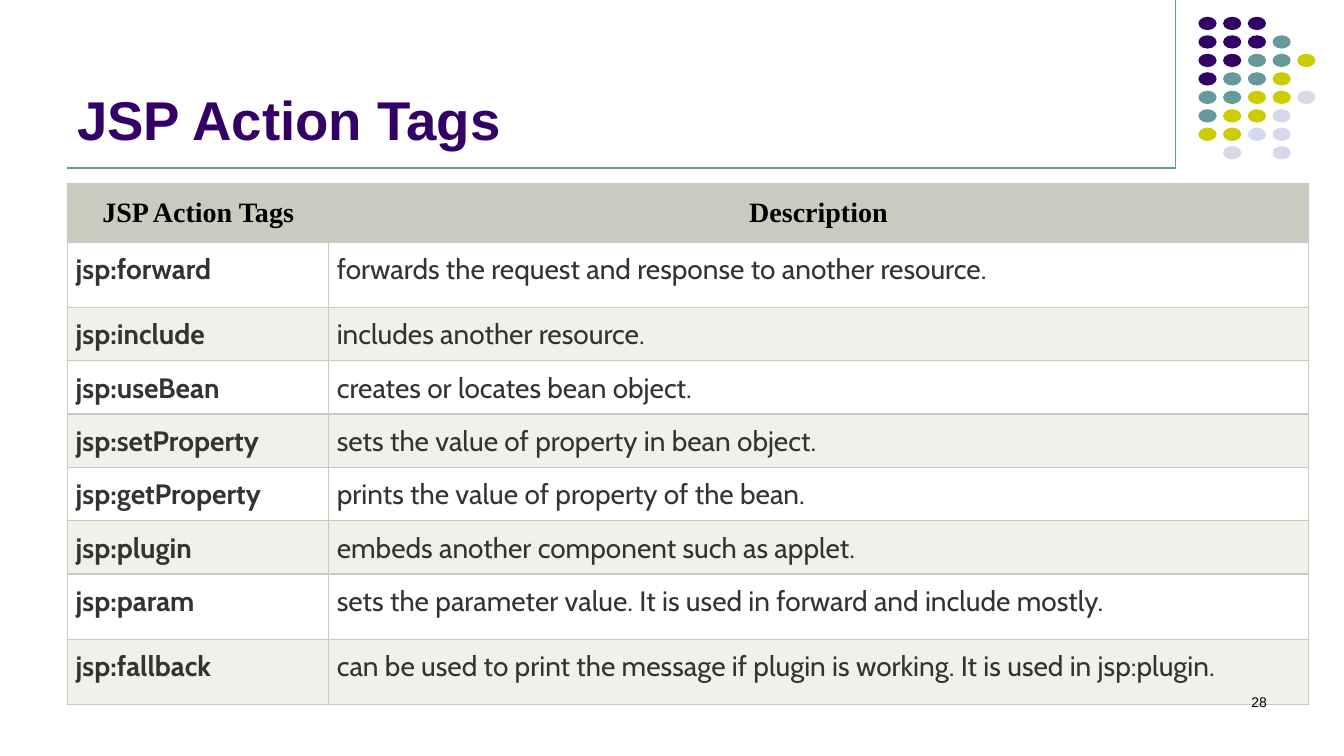
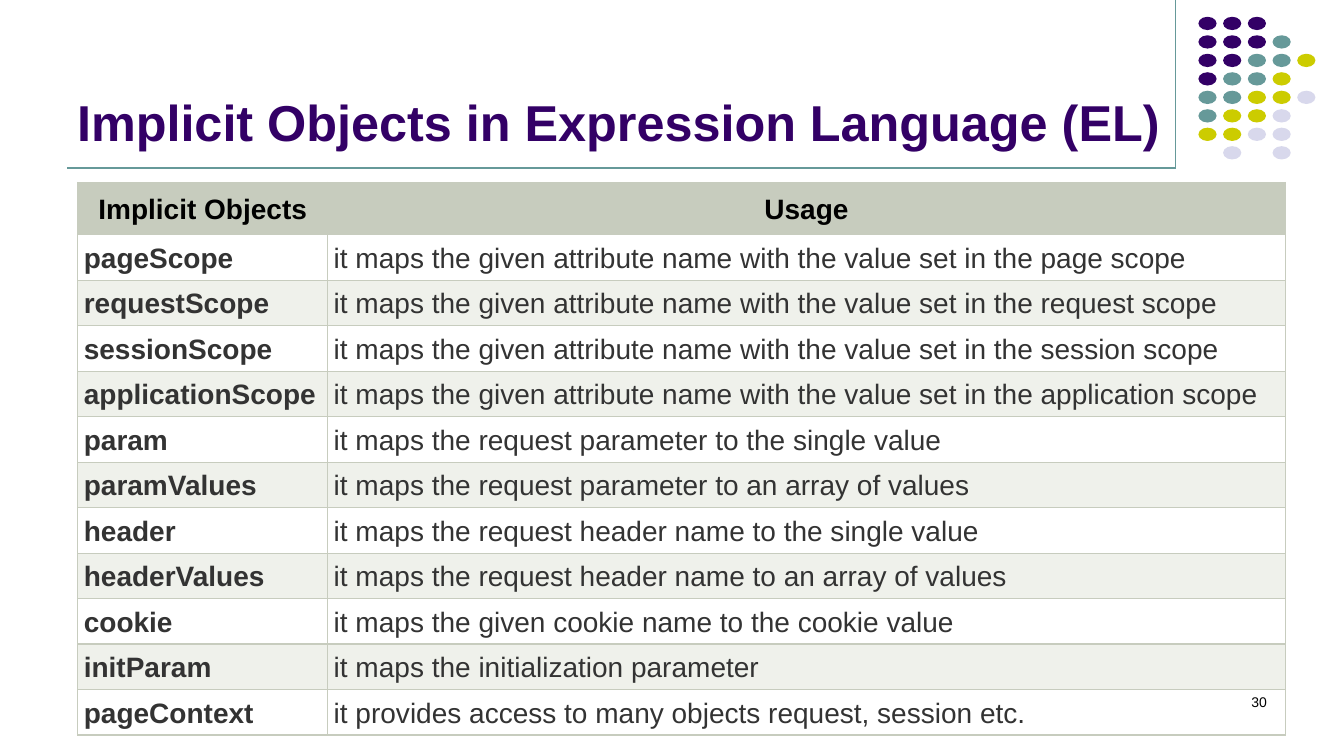
from dataclasses import dataclass

from lxml.etree import SubElement
from pptx import Presentation
from pptx.dml.color import RGBColor
from pptx.enum.shapes import MSO_CONNECTOR as Connector, MSO_SHAPE as Shape
from pptx.enum.text import MSO_ANCHOR as Anchor, PP_ALIGN as Align
from pptx.oxml import parse_xml
from pptx.oxml.ns import nsdecls, qn
from pptx.util import Pt


@dataclass(frozen=True)
class Theme:
    purple: str = "330066"
    teal: str = "669999"
    lime: str = "CCCC00"
    lavender: str = "D8D8EC"
    header: str = "C7CCBE"
    band: str = "EFF1EB"
    white: str = "FFFFFF"
    ink: str = "333333"
    black: str = "000000"
    font: str = "Arial"
    table_size: int = 20
    number_size: int = 10
    rule_width: float = 0.75
    border_width: float = 1
    line_spacing: float = 1.07
    bottom_trim: float = 2.2


THEME = Theme()

DOT_COLORS = {"P": THEME.purple, "T": THEME.teal, "L": THEME.lime, "V": THEME.lavender}
DOT_ROWS = ("PPP", "PPPT", "PPTTL", "PTTL", "TTLLV", "TLLV", "LLVV", " V V")

ACTION_TAGS = [
    ("JSP Action Tags", "Description"),
    ("jsp:forward", "forwards the request and response to another resource."),
    ("jsp:include", "includes another resource."),
    ("jsp:useBean", "creates or locates bean object."),
    ("jsp:setProperty", "sets the value of property in bean object."),
    ("jsp:getProperty", "prints the value of property of the bean."),
    ("jsp:plugin", "embeds another component such as applet."),
    ("jsp:param", "sets the parameter value. It is used in forward and include mostly."),
    ("jsp:fallback", "can be used to print the message if plugin is working. It is used in jsp:plugin."),
]

IMPLICIT_OBJECTS = [
    ("Implicit Objects", "Usage"),
    ("pageScope", "it maps the given attribute name with the value set in the page scope"),
    ("requestScope", "it maps the given attribute name with the value set in the request scope"),
    ("sessionScope", "it maps the given attribute name with the value set in the session scope"),
    ("applicationScope", "it maps the given attribute name with the value set in the application scope"),
    ("param", "it maps the request parameter to the single value"),
    ("paramValues", "it maps the request parameter to an array of values"),
    ("header", "it maps the request header name to the single value"),
    ("headerValues", "it maps the request header name to an array of values"),
    ("cookie", "it maps the given cookie name to the cookie value"),
    ("initParam", "it maps the initialization parameter"),
    ("pageContext", "it provides access to many objects request, session etc."),
]


def points(*values):
    return [Pt(value) for value in values]


def color(code):
    return RGBColor.from_string(code)


def write(frame, text, *, size, ink=THEME.black, font=THEME.font, bold=False,
          align=Align.LEFT, anchor=Anchor.TOP, spacing=None):
    frame.word_wrap = True
    frame.vertical_anchor = anchor
    paragraph = frame.paragraphs[0]
    paragraph.alignment = align
    paragraph.line_spacing = spacing
    run = paragraph.add_run()
    run.text = text
    run.font.name = font
    run.font.size = Pt(size)
    run.font.bold = bold
    run.font.color.rgb = color(ink)


def add_text(slide, box, text, **text_format):
    shape = slide.shapes.add_textbox(*points(*box))
    write(shape.text_frame, text, **text_format)


def add_rule(slide, *ends):
    rule = slide.shapes.add_connector(Connector.STRAIGHT, *points(*ends))
    rule.line.color.rgb = color(THEME.teal)
    rule.line.width = Pt(THEME.rule_width)
    SubElement(rule._element.spPr, qn("a:effectLst"))


def add_dots(slide):
    group = slide.shapes.add_group_shape()
    for row, pattern in enumerate(DOT_ROWS):
        for column, key in enumerate(pattern):
            if key in DOT_COLORS:
                box = points(856 + column * 17.65, 12 + row * 13.2, 13, 9.5)
                dot = group.shapes.add_shape(Shape.OVAL, *box)
                dot.shadow.inherit = False
                dot.fill.solid()
                dot.fill.fore_color.rgb = color(DOT_COLORS[key])
                dot.line.fill.background()


def set_borders(cell):
    properties = cell._tc.get_or_add_tcPr()
    for index, side in enumerate(("lnL", "lnR", "lnT", "lnB")):
        properties.insert(index, parse_xml(
            f'<a:{side} {nsdecls("a")} w="{Pt(THEME.border_width)}"><a:solidFill>'
            f'<a:srgbClr val="{THEME.header}"/></a:solidFill></a:{side}>'))


def style_cell(cell, text, *, fill, margin, **text_format):
    cell.margin_left = cell.margin_right = cell.margin_top = Pt(margin)
    cell.margin_bottom = Pt(margin - THEME.bottom_trim)
    cell.fill.solid()
    cell.fill.fore_color.rgb = color(fill)
    set_borders(cell)
    write(cell.text_frame, text, size=THEME.table_size,
          spacing=THEME.line_spacing, **text_format)
    cell.vertical_anchor = Anchor.TOP


def add_table(slide, rows, *, left, top, widths, heights, margins,
              header_font=THEME.font, body_font=THEME.font):
    box = points(left, top, sum(widths), sum(heights))
    table = slide.shapes.add_table(len(rows), len(widths), *box).table
    table.first_row = table.horz_banding = False
    for column, width in zip(table.columns, widths):
        column.width = Pt(width)
    for index, (texts, height) in enumerate(zip(rows, heights)):
        table.rows[index].height = Pt(height)
        for column, text in enumerate(texts):
            cell = table.cell(index, column)
            if index == 0:
                style_cell(cell, text, fill=THEME.header, margin=margins[0],
                           font=header_font, bold=True, align=Align.CENTER)
            else:
                style_cell(cell, text, fill=THEME.white if index % 2 else THEME.band,
                           margin=margins[1], font=body_font, ink=THEME.ink,
                           bold=column == 0, align=Align.JUSTIFY)


def add_slide(presentation, title, title_size, number, rows, **table_format):
    slide = presentation.slides.add_slide(presentation.slide_layouts[6])
    add_rule(slide, 840, 0, 840, 120)
    add_dots(slide)
    add_rule(slide, 48, 120, 840, 120)
    add_text(slide, (48, 9.5, 792, 102), title, size=title_size,
             ink=THEME.purple, bold=True, anchor=Anchor.BOTTOM)
    add_table(slide, rows, **table_format)
    add_text(slide, (688, 492, 224, 36), str(number), size=THEME.number_size,
             align=Align.RIGHT)


def main():
    presentation = Presentation()
    presentation.slide_width, presentation.slide_height = points(960, 540)
    add_slide(presentation, "JSP Action Tags", 39, 28, ACTION_TAGS,
              left=48.3, top=131.2, widths=(186.5, 699.8),
              heights=[41.8, 46.6] + [38.1] * 5 + [46.6] * 2, margins=(8.6, 5.8),
              header_font="Times New Roman", body_font="Cabin")
    add_slide(presentation, "Implicit Objects in Expression Language (EL)", 36, 30,
              IMPLICIT_OBJECTS, left=55.6, top=130.3, widths=(178.5, 684),
              heights=[37.4] + [32.5] * 11, margins=(6.5, 4.3))
    presentation.save("out.pptx")


if __name__ == "__main__":
    main()
